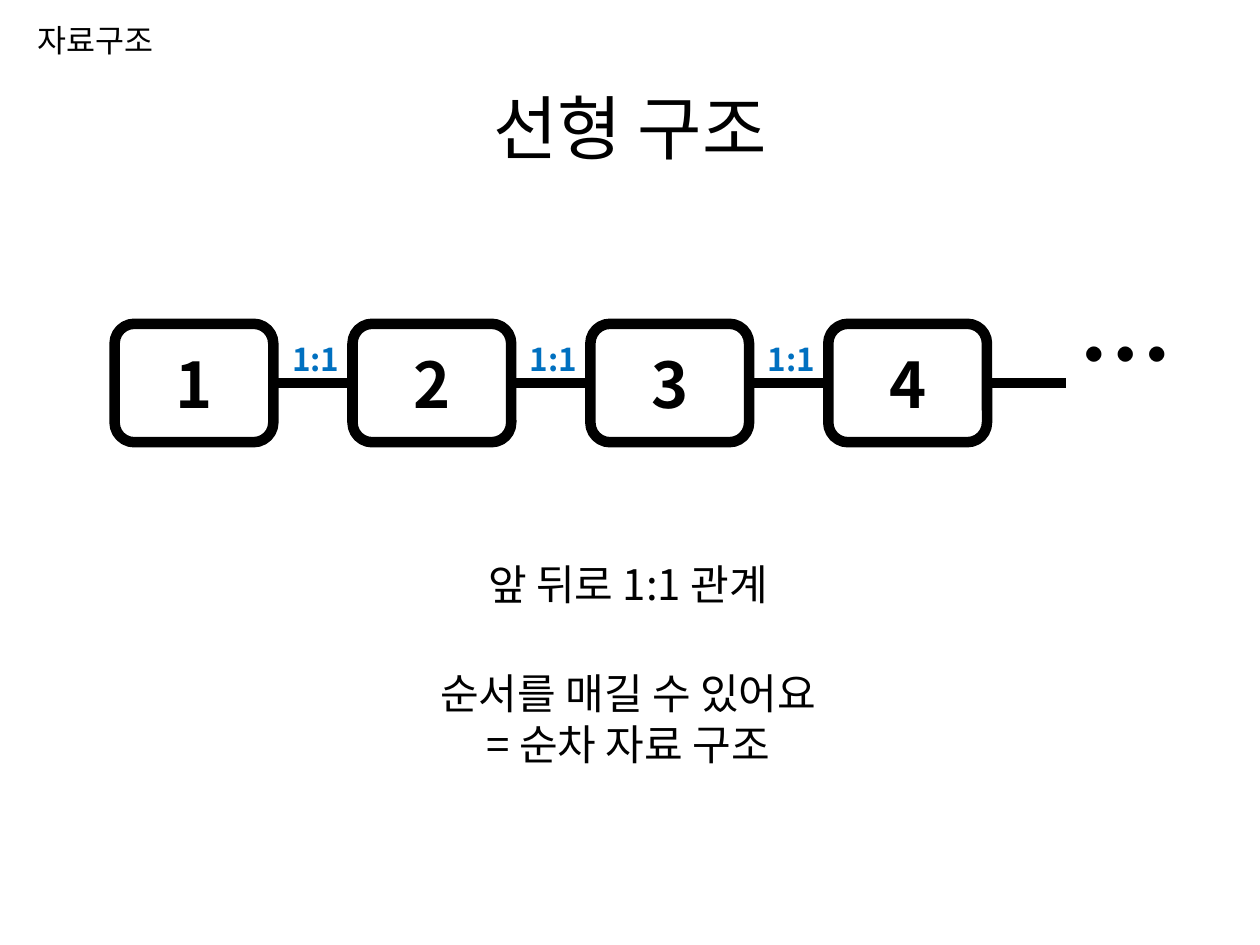
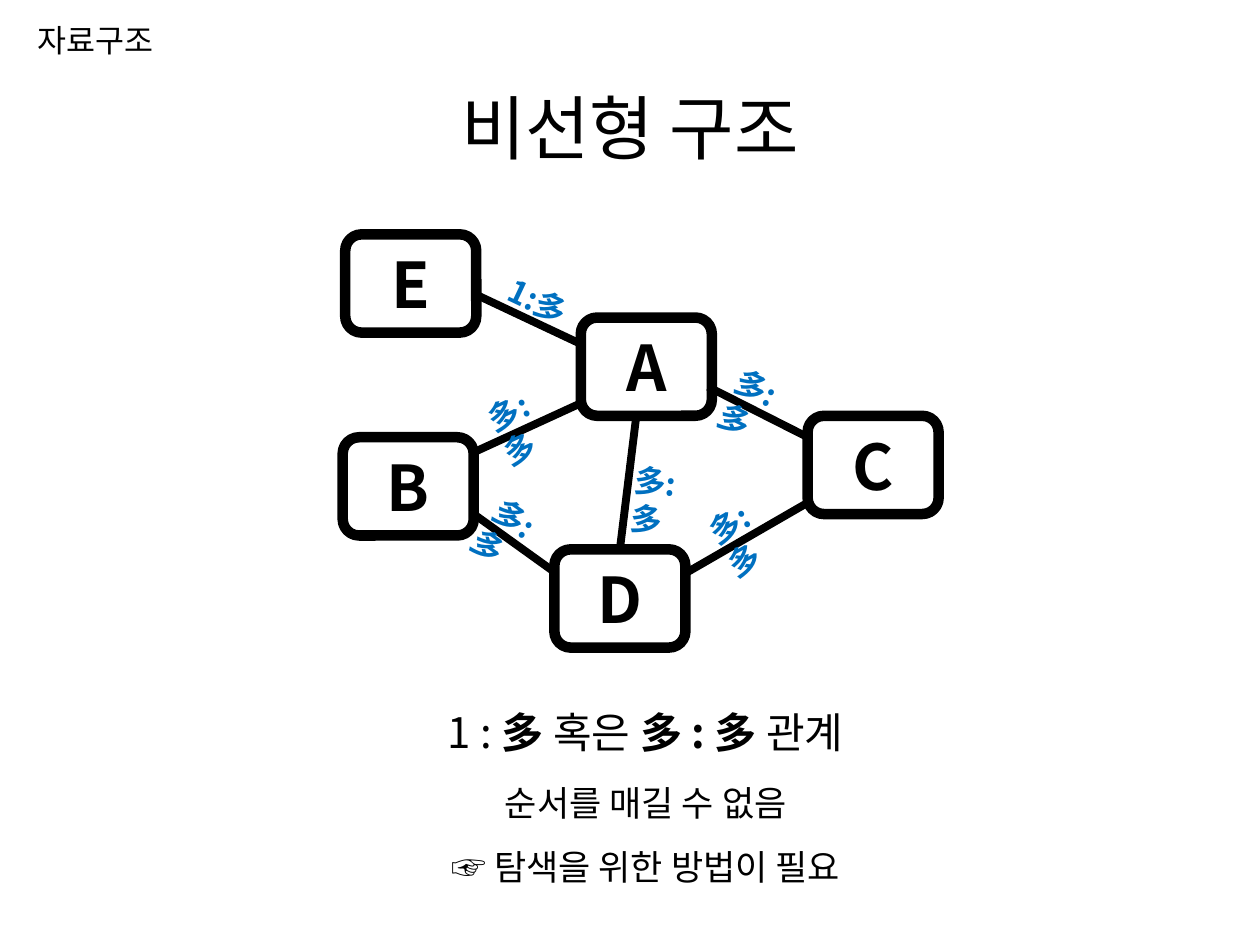
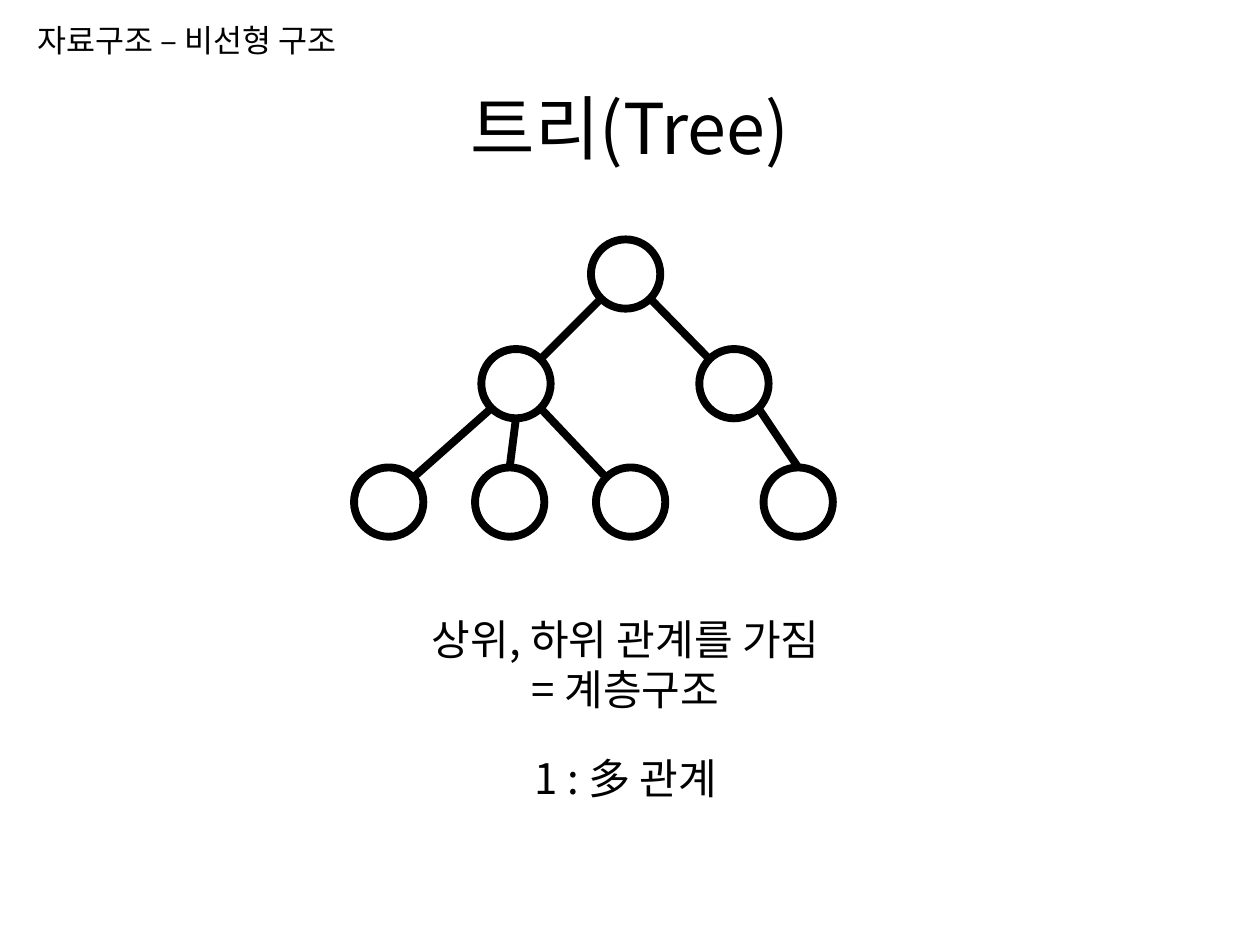
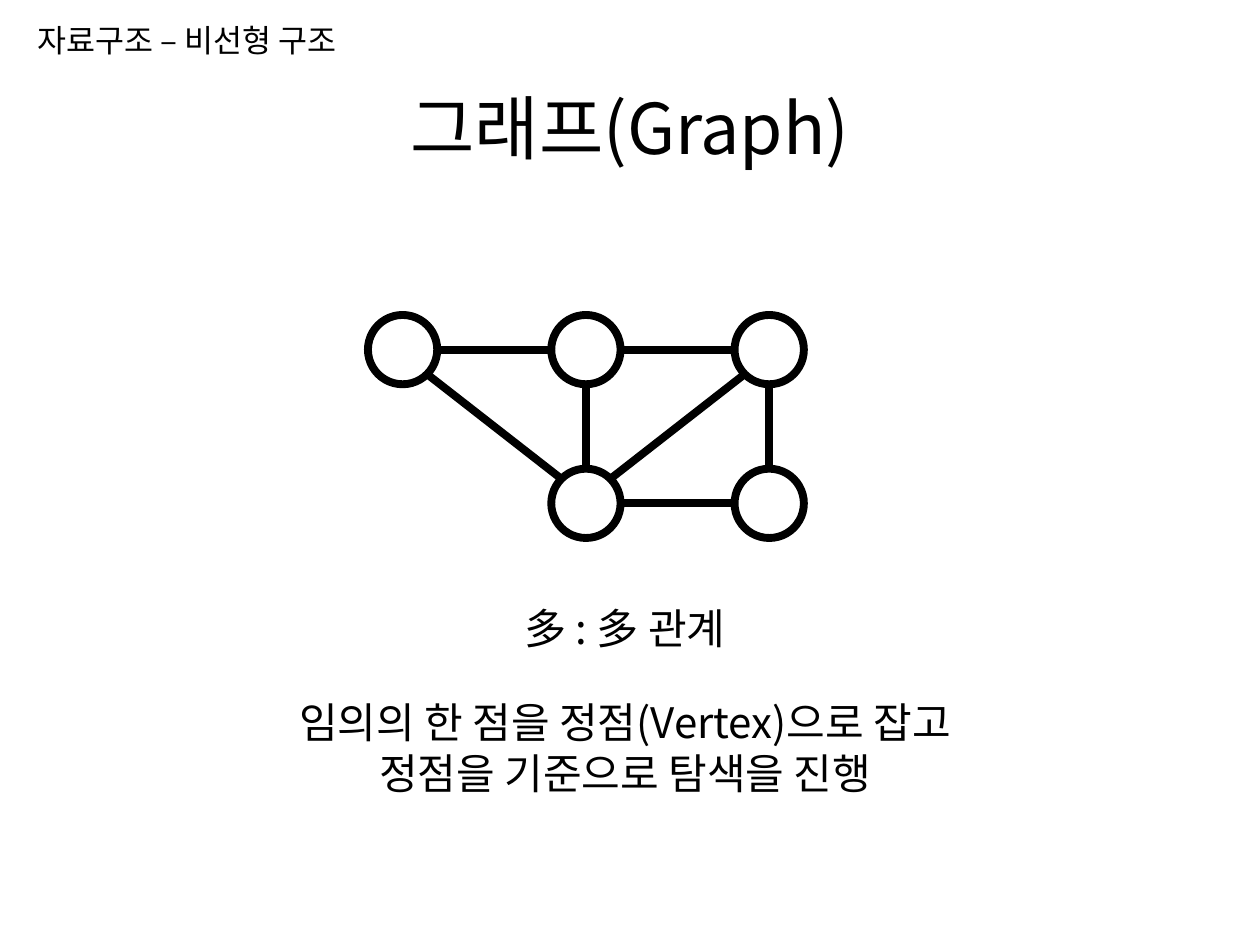
from dataclasses import dataclass
from math import cos, radians, sin
from typing import Any

from lxml.etree import SubElement
from pptx import Presentation
from pptx.dml.color import RGBColor
from pptx.enum.shapes import MSO_CONNECTOR, MSO_SHAPE
from pptx.enum.text import MSO_ANCHOR, MSO_AUTO_SIZE, PP_ALIGN
from pptx.oxml.ns import qn
from pptx.slide import Slide
from pptx.text.text import TextFrame
from pptx.util import Inches, Pt

BLACK = RGBColor(0x00, 0x00, 0x00)
BLUE = RGBColor(0x00, 0x70, 0xC0)
FONT = "Noto Sans CJK KR"

COLUMNS, ROWS = 100, 75
CELL = Inches(0.1)
BOX_LINE, THIN_LINE = 6, 4.5
CIRCLE = 5.5

TITLE = {"size": Pt(40), "bold": False}
BREADCRUMB = {"size": Pt(18), "bold": False}
BODY = {"size": Pt(24), "bold": False}
NOTE = {"size": Pt(20), "bold": False}
NODE = {"size": Pt(36), "bold": True}
RATIO = {"size": Pt(18), "bold": True}
ELLIPSIS = {"size": Pt(54), "bold": True}

Point = tuple[float, float]
Format = dict[str, Any]


@dataclass(frozen=True)
class Area:
    column: float
    row: float
    columns: float
    rows: float

    def emu(self) -> tuple[int, ...]:
        return tuple(cells(n) for n in (self.column, self.row, self.columns, self.rows))


@dataclass(frozen=True)
class Caption:
    area: Area
    paragraphs: tuple[tuple[str, ...], ...]
    style: Format
    align: PP_ALIGN = PP_ALIGN.CENTER
    color: RGBColor = BLACK
    turn: float = 0


@dataclass(frozen=True)
class Node:
    area: Area
    letter: str = ""
    outline: MSO_SHAPE = MSO_SHAPE.ROUNDED_RECTANGLE
    weight: float = BOX_LINE


@dataclass(frozen=True)
class Edge:
    start: Point
    end: Point
    weight: float = THIN_LINE


@dataclass(frozen=True)
class Link:
    source: str
    leaving: int
    target: str
    arriving: int


def cells(count: float) -> int:
    return round(count * CELL)


def write(frame: TextFrame, paragraphs: tuple[tuple[str, ...], ...], style: Format,
          align: PP_ALIGN, color: RGBColor) -> None:
    """Each paragraph alternates plain and emphasised spans, plain first."""
    frame.word_wrap = True
    for number, spans in enumerate(paragraphs):
        paragraph = frame.add_paragraph() if number else frame.paragraphs[0]
        paragraph.alignment = align
        for position, span in enumerate(spans):
            if not span:
                continue
            run = paragraph.add_run()
            run.text = span
            emphasis = {"bold": True} if position % 2 else {}
            for attribute, value in {**style, **emphasis, "name": FONT}.items():
                setattr(run.font, attribute, value)
            run.font.color.rgb = color
            SubElement(run._r.get_or_add_rPr(), qn("a:ea"), typeface=FONT)


def draw_caption(slide: Slide, caption: Caption) -> None:
    box = slide.shapes.add_textbox(*caption.area.emu())
    box.rotation = caption.turn
    write(box.text_frame, caption.paragraphs, caption.style, caption.align, caption.color)
    box.text_frame.auto_size = MSO_AUTO_SIZE.SHAPE_TO_FIT_TEXT


def draw_node(slide: Slide, node: Node) -> None:
    body = slide.shapes.add_shape(node.outline, *node.area.emu())
    body.shadow.inherit = False
    body.fill.background()
    body.line.color.rgb = BLACK
    body.line.width = Pt(node.weight)
    if node.letter:
        body.text_frame.vertical_anchor = MSO_ANCHOR.MIDDLE
        write(body.text_frame, ((node.letter,),), NODE, PP_ALIGN.CENTER, BLACK)


def draw_edge(slide: Slide, edge: Edge) -> None:
    ends = (cells(n) for n in (*edge.start, *edge.end))
    connector = slide.shapes.add_connector(MSO_CONNECTOR.STRAIGHT, *ends)
    connector.line.color.rgb = BLACK
    connector.line.width = Pt(edge.weight)
    SubElement(connector._element.spPr, qn("a:effectLst"))


def ratio(column: float, row: float, columns: float, words: str, turn: float = 0) -> Caption:
    return Caption(Area(column, row, columns, 4), ((words,),), RATIO, PP_ALIGN.LEFT, BLUE, turn)


def rim(corner: Point, angle: int) -> Point:
    radius = CIRCLE / 2
    return (corner[0] + radius * (1 + cos(radians(angle))),
            corner[1] + radius * (1 - sin(radians(angle))))


def draw_circles(slide: Slide, corners: dict[str, Point], links: list[Link]) -> None:
    for corner in corners.values():
        draw_node(slide, Node(Area(*corner, CIRCLE, CIRCLE), "", MSO_SHAPE.OVAL, THIN_LINE))
    for link in links:
        draw_edge(slide, Edge(rim(corners[link.source], link.leaving),
                              rim(corners[link.target], link.arriving)))


def start_slide(deck: Any, title: str, breadcrumb: str, captions: list[Caption]) -> Slide:
    slide = deck.slides.add_slide(deck.slide_layouts[6])
    heading = slide.shapes.add_textbox(*Area(5, 3.8, 90, 12.5).emu())
    heading.text_frame.vertical_anchor = MSO_ANCHOR.MIDDLE
    write(heading.text_frame, ((title,),), TITLE, PP_ALIGN.CENTER, BLACK)
    draw_caption(slide, Caption(Area(2, 1.2, 31, 4), ((breadcrumb,),), BREADCRUMB, PP_ALIGN.LEFT))
    for caption in captions:
        draw_caption(slide, caption)
    return slide


def add_linear(deck: Any) -> None:
    slide = start_slide(deck, "선형 구조", "자료구조", [
        Caption(Area(84.6, 23, 11.8, 10.1), (("…",),), ELLIPSIS, PP_ALIGN.LEFT),
        Caption(Area(36.2, 43.8, 27.3, 5), (("앞 뒤로 1:1 관계",),), BODY),
        Caption(Area(31.7, 52.5, 36.3, 9.7),
                (("순서를 매길 수 있어요",), ("= 순차 자료 구조",)), BODY),
    ])
    first, pitch, width, top, height = 9.1, 18.88, 12.6, 25.7, 9.4
    letters = "1234"
    for index, letter in enumerate(letters):
        left = first + index * pitch
        middle = top + height / 2
        draw_node(slide, Node(Area(left, top, width, height), letter))
        draw_edge(slide, Edge((left + width, middle), (left + pitch, middle), BOX_LINE))
        if letter != letters[-1]:
            draw_caption(slide, ratio(left + width + 0.5, 26.5, 6.5, "1:1"))


def add_nonlinear(deck: Any) -> None:
    many = "多:多"
    slide = start_slide(deck, "비선형 구조", "자료구조", [
        Caption(Area(24.5, 55.6, 53.5, 5),
                (("1 : ", "多 ", "혹은", " 多 : 多 ", "관계"),), BODY),
        Caption(Area(24.5, 61.5, 53.5, 4.4), (("순서를 매길 수 없음",),), NOTE),
        Caption(Area(24.5, 66.6, 53.5, 4.4), (("", "☞ ", "탐색을 위한 방법이 필요"),), NOTE),
    ])
    corners = {"A": (46.1, 25.2), "B": (27.2, 34.7), "C": (64.1, 33),
               "D": (44, 43.6), "E": (27.4, 18.6)}
    for letter, corner in corners.items():
        draw_node(slide, Node(Area(*corner, 10.4, 7.8), letter))
    for edge in (Edge((46.1, 32), (37.6, 35.9)), Edge((46.1, 27.3), (37.6, 23.3)),
                 Edge((64.1, 34.7), (56.2, 30.7)), Edge((49.2, 43.6), (50.5, 33)),
                 Edge((44, 45.4), (37.6, 40.8)), Edge((64.1, 39.9), (54.4, 45.5))):
        draw_edge(slide, edge)
    for column, row, words, turn in ((39.3, 22.1, "1:多", 25.3), (37.6, 30.2, many, 335.4),
                                     (38, 39.8, many, 35.3), (57.3, 29.3, many, 26.3),
                                     (49.4, 36.4, many, 6.7), (55.1, 39, many, 330.2)):
        draw_caption(slide, ratio(column, row, 7.7, words, turn))


def add_tree(deck: Any) -> None:
    slide = start_slide(deck, "트리(Tree)", "자료구조 – 비선형 구조", [
        Caption(Area(40.2, 59.2, 18.9, 5), (("1 : 多 관계",),), BODY),
        Caption(Area(27.4, 48.2, 44.5, 9.7),
                (("상위, 하위 관계를 가짐",), ("= 계층구조",)), BODY),
    ])
    branch_row, leaf_row, leaf_start, leaf_pitch = 27.7, 37.1, 28.1, 9.6
    corners = {"root": (46.9, 19), "left": (38.2, branch_row), "right": (55.5, branch_row),
               "last leaf": (60.6, leaf_row)}
    for index in range(3):
        corners[f"leaf {index}"] = (leaf_start + index * leaf_pitch, leaf_row)
    draw_circles(slide, corners, [
        Link("root", 225, "left", 45), Link("root", 315, "right", 135),
        Link("left", 225, "leaf 0", 45), Link("left", 270, "leaf 1", 90),
        Link("left", 315, "leaf 2", 135), Link("right", 315, "last leaf", 90),
    ])


def add_graph(deck: Any) -> None:
    slide = start_slide(deck, "그래프(Graph)", "자료구조 – 비선형 구조", [
        Caption(Area(38.2, 47.3, 22.8, 5.1), (("多 : 多 관계",),), BODY),
        Caption(Area(18.5, 54.8, 62.2, 9.1),
                (("임의의 한 점을 정점(Vertex)으로 잡고 정점을 기준으로 탐색을 진행",),), BODY),
    ])
    left, pitch, upper, lower = 29.2, 14.55, 25, 37.2
    corners = {"upper left": (left, upper), "upper middle": (left + pitch, upper),
               "upper right": (left + 2 * pitch, upper),
               "lower right": (left + 2 * pitch, lower), "lower middle": (left + pitch, lower)}
    draw_circles(slide, corners, [
        Link("upper left", 0, "upper middle", 180), Link("upper middle", 0, "upper right", 180),
        Link("lower middle", 0, "lower right", 180), Link("upper middle", 270, "lower middle", 90),
        Link("upper right", 270, "lower right", 90), Link("upper left", 315, "lower middle", 135),
        Link("lower middle", 45, "upper right", 225),
    ])


def main() -> None:
    deck = Presentation()
    deck.slide_width, deck.slide_height = cells(COLUMNS), cells(ROWS)
    for add_topic in (add_linear, add_nonlinear, add_tree, add_graph):
        add_topic(deck)
    deck.save("out.pptx")


if __name__ == "__main__":
    main()
